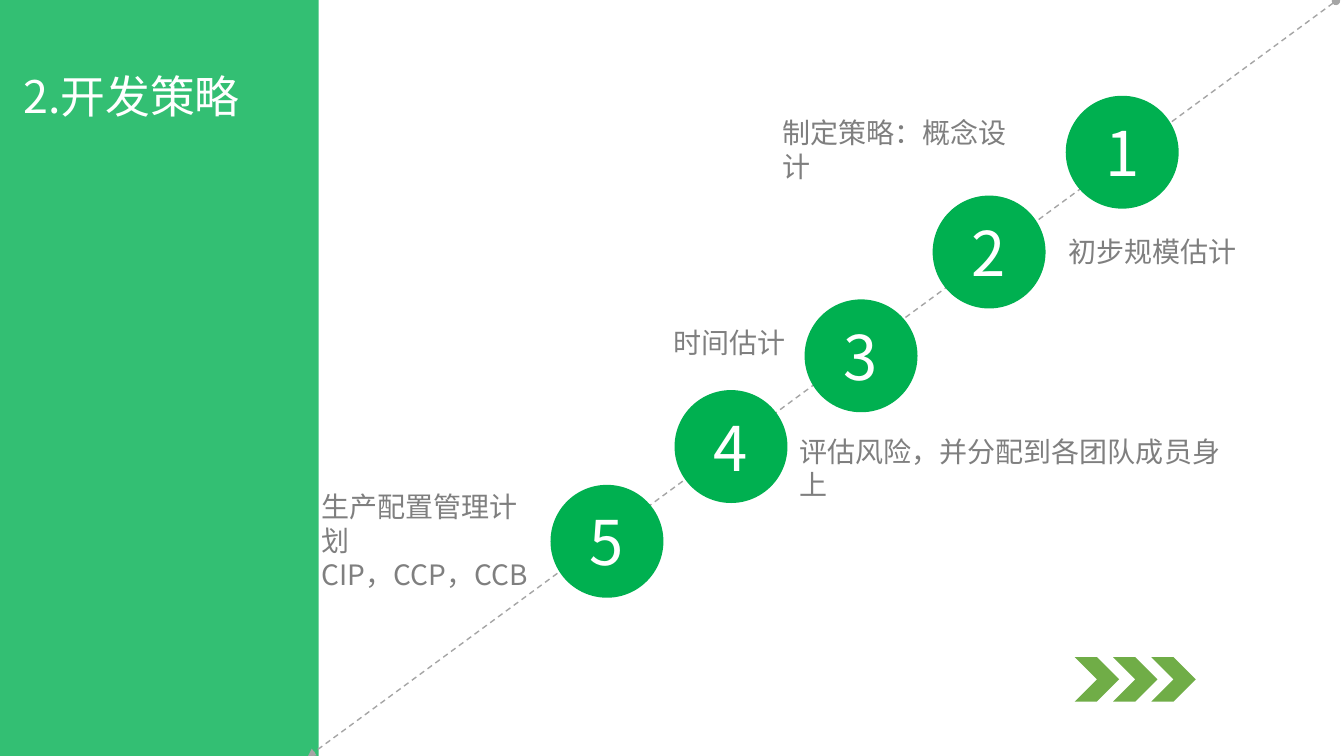
from lxml.etree import SubElement
from pptx import Presentation
from pptx.dml.color import RGBColor
from pptx.enum.dml import MSO_LINE as Dash
from pptx.enum.shapes import MSO_CONNECTOR as Conn, MSO_SHAPE as Kind
from pptx.enum.text import MSO_ANCHOR as Anchor, MSO_AUTO_SIZE as Auto, PP_ALIGN as Align
from pptx.oxml.ns import qn
from pptx.util import Inches, Pt

FONT = "Noto Sans CJK SC"
GREEN, LEAF, GRAY, RULE, WHITE = "00B050", "70AD47", "7F7F7F", "A5A5A5", "FFFFFF"

TITLE = "2.开发策略"
# circle left and top, label lines, label left, top, width and height
STEPS = [
    ((10.57, 0.95), ["制定策略：概念设计"], (7.66, 1.1, 2.66, 0.46)),
    ((9.25, 1.94), ["初步规模估计"], (10.5, 2.28, 1.92, 0.46)),
    ((7.98, 2.97), ["时间估计"], (6.58, 3.18, 1.36, 0.46)),
    ((6.69, 3.87), ["评估风险，并分配到各团队成员身上"], (7.83, 4.26, 4.6, 0.46)),
    ((5.46, 4.81), ["生产配置管理计划", "CIP，CCP，CCB"], (3.09, 4.81, 2.4, 0.79)),
]
DISC = 1.12
ARROWS, ARROW, STEP = (10.66, 6.52), 0.44, 0.38


def color(hex_code):
    return RGBColor.from_string(hex_code)


def write(shape, lines, size=20, ink=GRAY, align=Align.LEFT, anchor=Anchor.TOP):
    frame = shape.text_frame
    frame.word_wrap = True
    frame.auto_size = Auto.NONE
    frame.vertical_anchor = anchor
    frame.text = "\n".join(lines)
    for para in frame.paragraphs:
        para.alignment = align
        for run in para.runs:
            font = run.font
            font.name, font.size = FONT, Pt(size)
            font.color.rgb = color(ink)
            SubElement(font._element, qn("a:ea")).set("typeface", FONT)


def draw(kind, left, top, width, height, fill):
    shape = slide.shapes.add_shape(kind, *map(Inches, (left, top, width, height)))
    shape.shadow.inherit = False
    shape.fill.solid()
    shape.fill.fore_color.rgb = color(fill)
    shape.line.fill.background()
    return shape


deck = Presentation()
deck.slide_width, deck.slide_height = Inches(13.33), Inches(7.5)
slide = deck.slides.add_slide(deck.slide_layouts[5])

# Side band, 80 % opaque, with the title above it
band = draw(Kind.RECTANGLE, 0, 0, 3.16, 7.5, GREEN)
tint = band.element.spPr.find(qn("a:solidFill"))[0]
SubElement(tint, qn("a:alpha")).set("val", "80000")

title = slide.shapes.title
title.left, title.top, title.width, title.height = map(Inches, (0, 0.63, 2.61, 0.67))
write(title, [TITLE], size=32, ink=WHITE, align=Align.CENTER)
band.element.addnext(title.element)

# Dashed diagonal
path_line = slide.shapes.add_connector(Conn.STRAIGHT, *map(Inches, (13.25, 0.01, 3.05, 7.51)))
path_line.line.color.rgb = color(RULE)
path_line.line.width = Pt(1)
path_line.line.dash_style = Dash.DASH
stroke = path_line.line._get_or_add_ln()
for end, tip in (("a:headEnd", "oval"), ("a:tailEnd", "triangle")):
    SubElement(stroke, qn(end)).set("type", tip)
SubElement(path_line._element.spPr, qn("a:effectLst"))

# Numbered steps and their labels
for num, (spot, lines, area) in enumerate(STEPS, 1):
    disc = draw(Kind.OVAL, *spot, DISC, DISC, GREEN)
    write(disc, [str(num)], size=44, ink=WHITE, align=Align.CENTER, anchor=Anchor.MIDDLE)
    write(slide.shapes.add_textbox(*map(Inches, area)), lines)

# Chevrons
for i in range(3):
    draw(Kind.CHEVRON, ARROWS[0] + i * STEP, ARROWS[1], ARROW, ARROW, LEAF)

deck.save("out.pptx")
